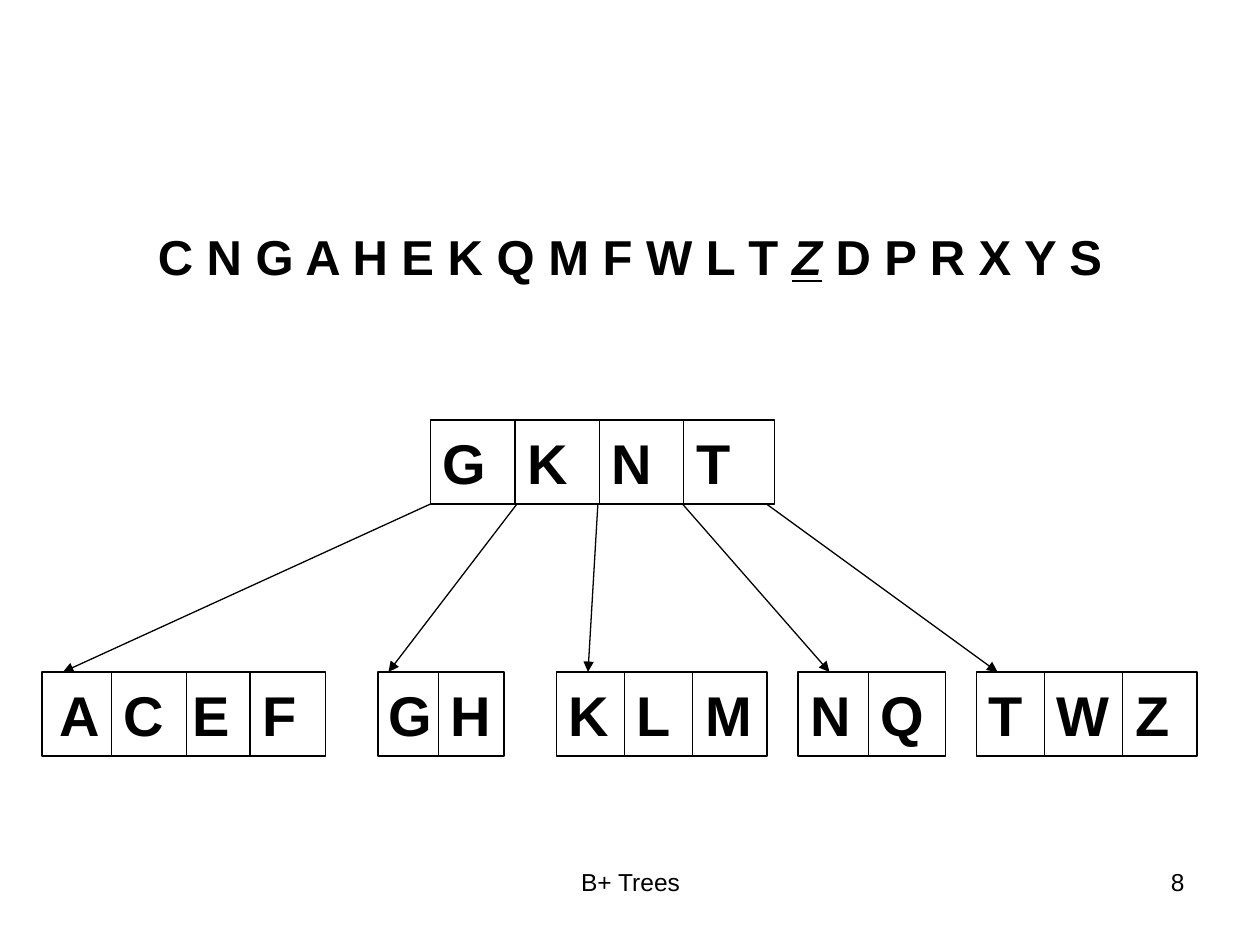
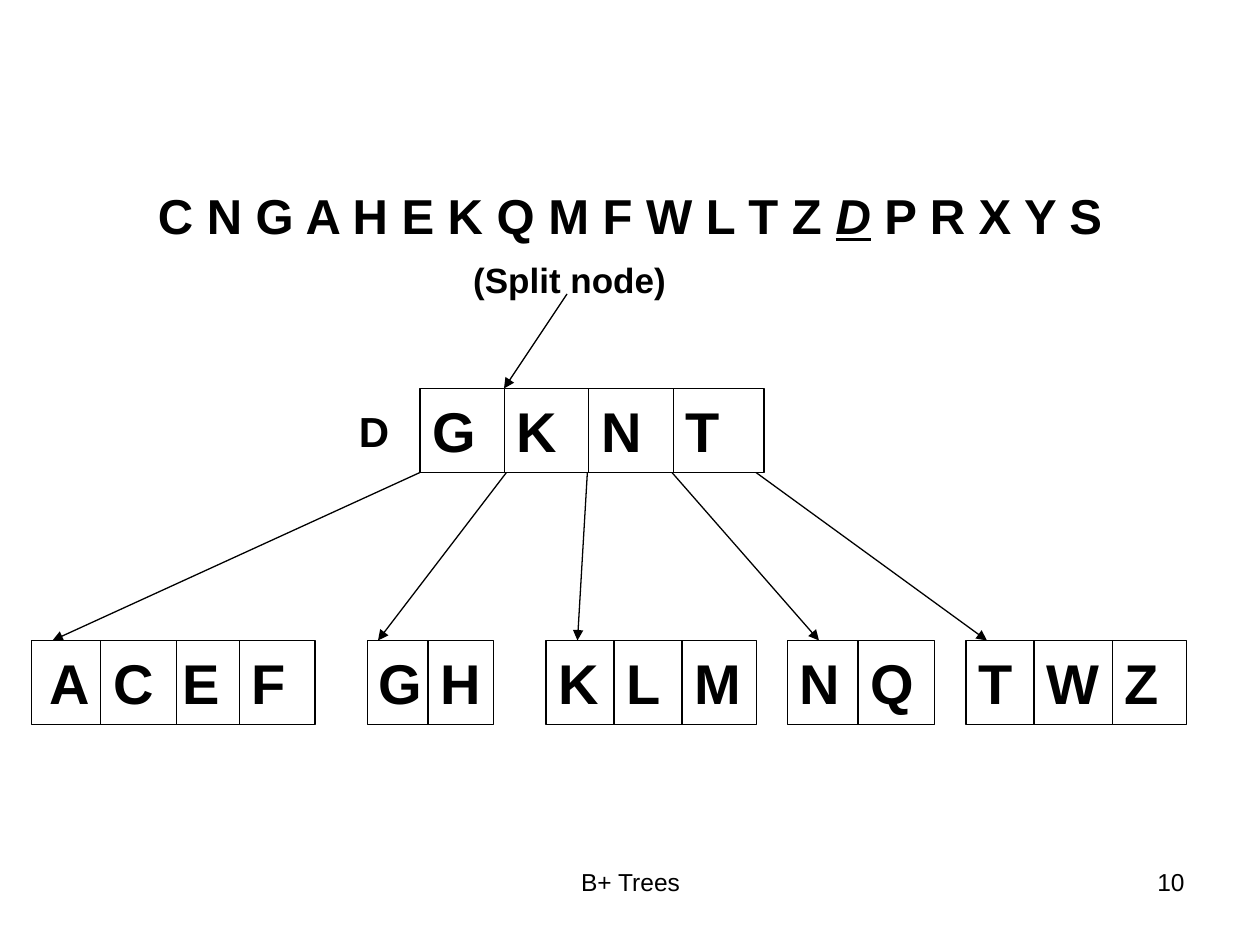
"""Build two slides that show keys going into a B+ tree."""
from dataclasses import dataclass

from lxml import etree
from pptx import Presentation
from pptx.dml.color import RGBColor
from pptx.enum import shapes, text
from pptx.oxml import ns
from pptx.util import Inches, Pt

BLACK = RGBColor(0, 0, 0)
WHITE = RGBColor(255, 255, 255)
FONT = "Arial"
LINE_WIDTH = Pt(0.75)
UNITS_PER_INCH = 12
CELL_HEIGHT = 8
LEAF_ROW = 64
LEFT, CENTER, RIGHT = (
    text.PP_ALIGN.LEFT, text.PP_ALIGN.CENTER, text.PP_ALIGN.RIGHT)


@dataclass
class Node:
    """A tree node: keys, grid place, cell offsets and widths in inches."""
    keys: str
    column: int
    row: int
    offsets: tuple
    widths: tuple
    order: tuple = ()
    centered_first: bool = False


def even_node(keys, column, row, step, width, **options):
    """Return a node whose cells are equally wide and equally spaced."""
    offsets = tuple(step * index for index in range(len(keys)))
    return Node(keys, column, row, offsets, (width,) * len(keys), **options)


NODES = (
    even_node("GH", 36, LEAF_ROW, 0.48, 0.52, centered_first=True),
    even_node("ACEF", 4, LEAF_ROW, 0.55, 0.6, order=(2, 0, 3, 1),
              centered_first=True),
    even_node("KLM", 53, LEAF_ROW, 0.54, 0.59),
    even_node("NQ", 76, LEAF_ROW, 0.56, 0.61),
    even_node("GKNT", 41, 40, 0.67, 0.72),
    Node("TWZ", 93, LEAF_ROW, (0, 0.54, 1.16), (0.59, 0.63, 0.59)),
)
BRANCHES = (
    ((41, 48), 6), ((50, 47), 37), ((57, 47), 56),
    ((65, 48), 79), ((73, 48), 95),
)


def grid(units):
    """Turn grid units into a length."""
    return Inches(units / UNITS_PER_INCH)


def add_span(para, words, size, bold=True, marked=False):
    """Add one run; a marked run is italic and underlined."""
    span = para.add_run()
    span.text = words
    font = span.font
    font.name, font.size, font.bold = FONT, Pt(size), bold
    font.color.rgb = BLACK
    if marked:
        font.italic = font.underline = True


def add_label(page, place, spans, size, align=LEFT, bold=True):
    """Add a text box; spans are (words, marked) pairs, place is in inches."""
    box = page.shapes.add_textbox(*map(Inches, place))
    box.text_frame.word_wrap = True
    para = box.text_frame.paragraphs[0]
    para.alignment = align
    for words, marked in spans:
        add_span(para, words, size, bold, marked)


def add_arrow(page, start, end):
    """Add an arrow between two grid points."""
    arrow = page.shapes.add_connector(
        shapes.MSO_CONNECTOR.STRAIGHT, *map(grid, start + end))
    arrow.line.color.rgb = BLACK
    arrow.line.width = LINE_WIDTH
    etree.SubElement(arrow.line._get_or_add_ln(), ns.qn("a:tailEnd"),
                     type="triangle")
    etree.SubElement(arrow._element.spPr, ns.qn("a:effectLst"))


def add_cell(group, key, left, top, width, align):
    """Add one key cell to a node."""
    cell = group.shapes.add_shape(
        shapes.MSO_SHAPE.RECTANGLE, left, top, width, grid(CELL_HEIGHT))
    cell.shadow.inherit = False
    cell.fill.solid()
    cell.fill.fore_color.rgb = WHITE
    cell.line.color.rgb = BLACK
    cell.line.width = LINE_WIDTH
    frame = cell.text_frame
    frame.word_wrap = False
    frame.vertical_anchor = text.MSO_ANCHOR.MIDDLE
    frame.paragraphs[0].alignment = align
    add_span(frame.paragraphs[0], key, 32)


def add_node(page, node, shift):
    """Add the cells of a node as one group."""
    group = page.shapes.add_group_shape()
    for index in node.order or range(len(node.keys)):
        centered = node.centered_first and index == 0
        add_cell(group, node.keys[index],
                 grid(node.column + shift[0]) + Inches(node.offsets[index]),
                 grid(node.row + shift[1]), Inches(node.widths[index]),
                 CENTER if centered else LEFT)


def add_tree(page, shift=(0, 0)):
    """Add the branches and nodes, moved by a number of grid units."""
    across, down = shift
    for (column, row), target in BRANCHES:
        add_arrow(page, (column + across, row + down),
                  (target + across, LEAF_ROW + down))
    for node in NODES:
        add_node(page, node, shift)


def add_page(deck, number, top, before, current, after):
    """Add a slide with the key sequence and the footer."""
    page = deck.slides.add_slide(deck.slide_layouts[6])
    add_label(page, (0.5, top, 9, 6.7 - top),
              ((before, False), (current, True), (after, False)), 28, CENTER)
    add_label(page, (3.42, 6.83, 3.17, 0.52), (("B+ Trees", False),), 14,
              CENTER, bold=False)
    add_label(page, (7.17, 6.83, 2.33, 0.52), ((str(number), False),), 14,
              RIGHT, bold=False)
    return page


def main():
    """Build and save the deck."""
    deck = Presentation()
    deck.slide_width, deck.slide_height = Inches(10), Inches(7.5)

    page = add_page(deck, 8, 1.75,
                    "C N G A H E K Q M F W L T ", "Z", " D P R X Y S")
    add_tree(page)

    page = add_page(deck, 10, 1.42,
                    "C N G A H E K Q M F W L T Z ", "D", " P R X Y S")
    add_tree(page, shift=(-1, -3))
    add_label(page, (3.58, 2, 2, 0.44), ((" (Split node)", False),), 20)
    add_label(page, (2.75, 3.17, 0.52, 0.5), (("D", False),), 24)
    add_arrow(page, (54, 28), (48, 37))

    deck.save("out.pptx")


if __name__ == "__main__":
    main()
